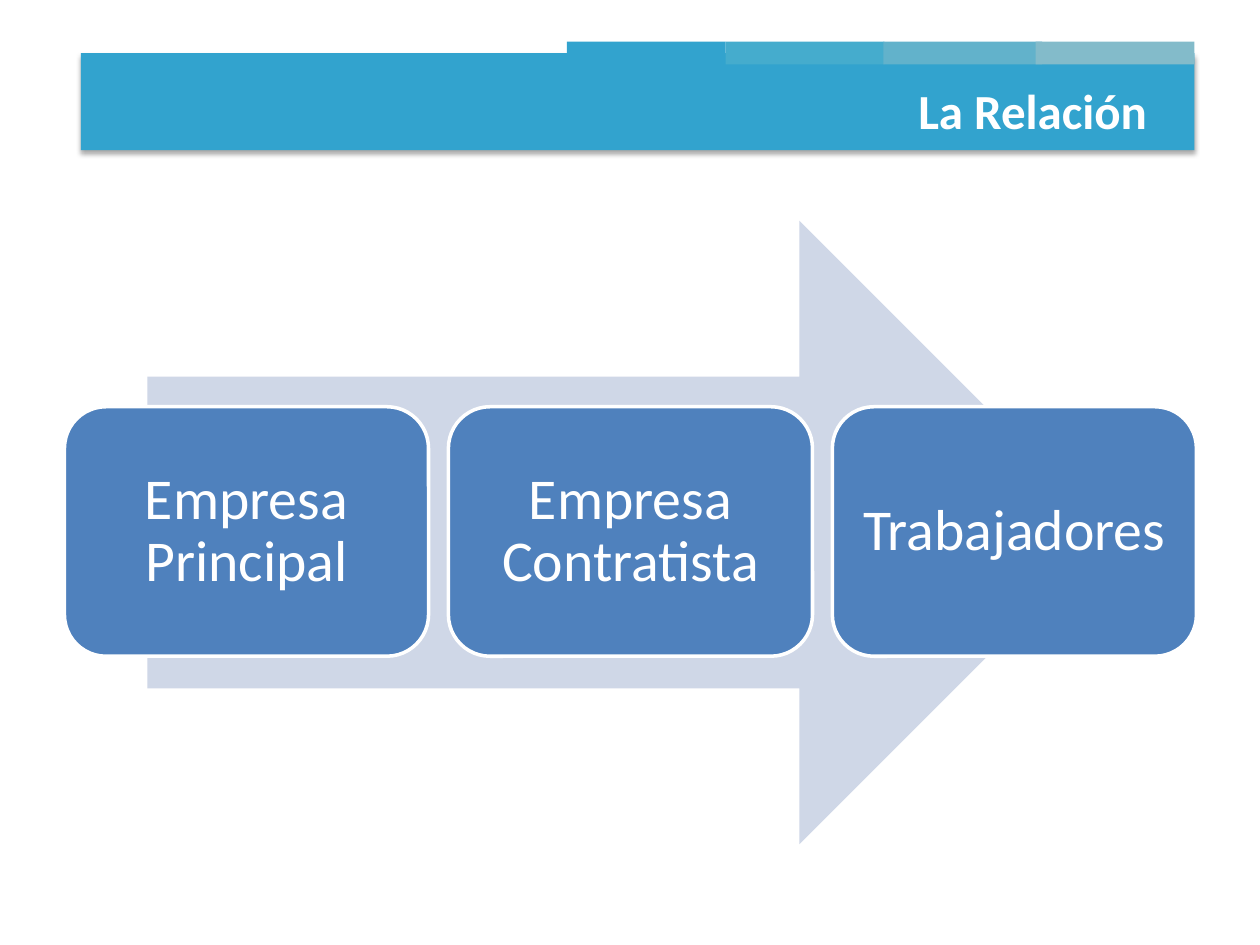
from lxml import etree
from pptx import Presentation
from pptx.dml.color import RGBColor
from pptx.enum import shapes, text
from pptx.oxml import ns
from pptx.util import Cm, Pt

COLORS = {
    "header": "32A3CE",
    "arrow": "CFD7E7",
    "box": "4F81BD",
    "white": "FFFFFF",
    "shadow": "000000",
}
TABS = [(11.43, "32A3CE"), (14.63, "45ACCD"), (17.81, "62B2CB"), (20.88, "83BBCA")]
PARTIES = ["Empresa Principal", "Empresa Contratista", "Trabajadores"]
BOX_LEFT, BOX_STEP = 1.3, 7.74


def add_block(slide, preset, left, top, width, height, color):
    shape = slide.shapes.add_shape(preset, Cm(left), Cm(top), Cm(width), Cm(height))
    shape.shadow.inherit = False
    shape.fill.solid()
    shape.fill.fore_color.rgb = RGBColor.from_string(color)
    shape.line.fill.background()
    return shape


def add_drop_shadow(shape):
    effects = shape._element.spPr.find(ns.qn("a:effectLst"))
    shadow = etree.SubElement(
        effects, ns.qn("a:outerShdw"), blurRad=str(Pt(3.1)), dist=str(Pt(1.8)),
        dir="5400000", algn="t", rotWithShape="0")
    color = etree.SubElement(shadow, ns.qn("a:srgbClr"), val=COLORS["shadow"])
    etree.SubElement(color, ns.qn("a:alpha"), val="35000")


def write(shape, wording, size, alignment, bold=False):
    shape.text_frame.word_wrap = True
    paragraph = shape.text_frame.paragraphs[0]
    paragraph.text = wording
    paragraph.alignment = alignment
    paragraph.font.name = "Calibri"
    paragraph.font.size = Pt(size)
    paragraph.font.bold = bold
    paragraph.font.color.rgb = RGBColor.from_string(COLORS["white"])
    return paragraph


def add_header(slide):
    rectangle = shapes.MSO_SHAPE.RECTANGLE
    band = add_block(slide, rectangle, 1.63, 1.07, 22.45, 1.96, COLORS["header"])
    add_drop_shadow(band)
    for left, color in TABS:
        add_block(slide, rectangle, left, 0.84, 3.2, 0.46, color)
    title = slide.shapes.add_textbox(Cm(8), Cm(1.5), Cm(15.37), Cm(1.45))
    write(title, "La Relación", 28, text.PP_ALIGN.RIGHT, bold=True)


def add_party(slide, left, name):
    box = add_block(slide, shapes.MSO_SHAPE.ROUNDED_RECTANGLE,
                    left, 8.2, 7.34, 5.03, COLORS["box"])
    box.line.color.rgb = RGBColor.from_string(COLORS["white"])
    box.line.width = Pt(2)
    frame = box.text_frame
    frame.margin_left = frame.margin_right = Cm(0.35)
    frame.margin_top = frame.margin_bottom = Cm(0.35)
    frame.vertical_anchor = text.MSO_ANCHOR.MIDDLE
    paragraph = write(box, name, 33, text.PP_ALIGN.CENTER)
    paragraph.line_spacing = 0.9


def main():
    presentation = Presentation()
    presentation.slide_width = Cm(25.4)
    presentation.slide_height = Cm(19.05)
    slide = presentation.slides.add_slide(presentation.slide_layouts[6])
    add_header(slide)
    add_block(slide, shapes.MSO_SHAPE.RIGHT_ARROW, 2.97, 4.45, 19.43, 12.57, COLORS["arrow"])
    for index, name in enumerate(PARTIES):
        add_party(slide, BOX_LEFT + index * BOX_STEP, name)
    presentation.save("out.pptx")


if __name__ == "__main__":
    main()
